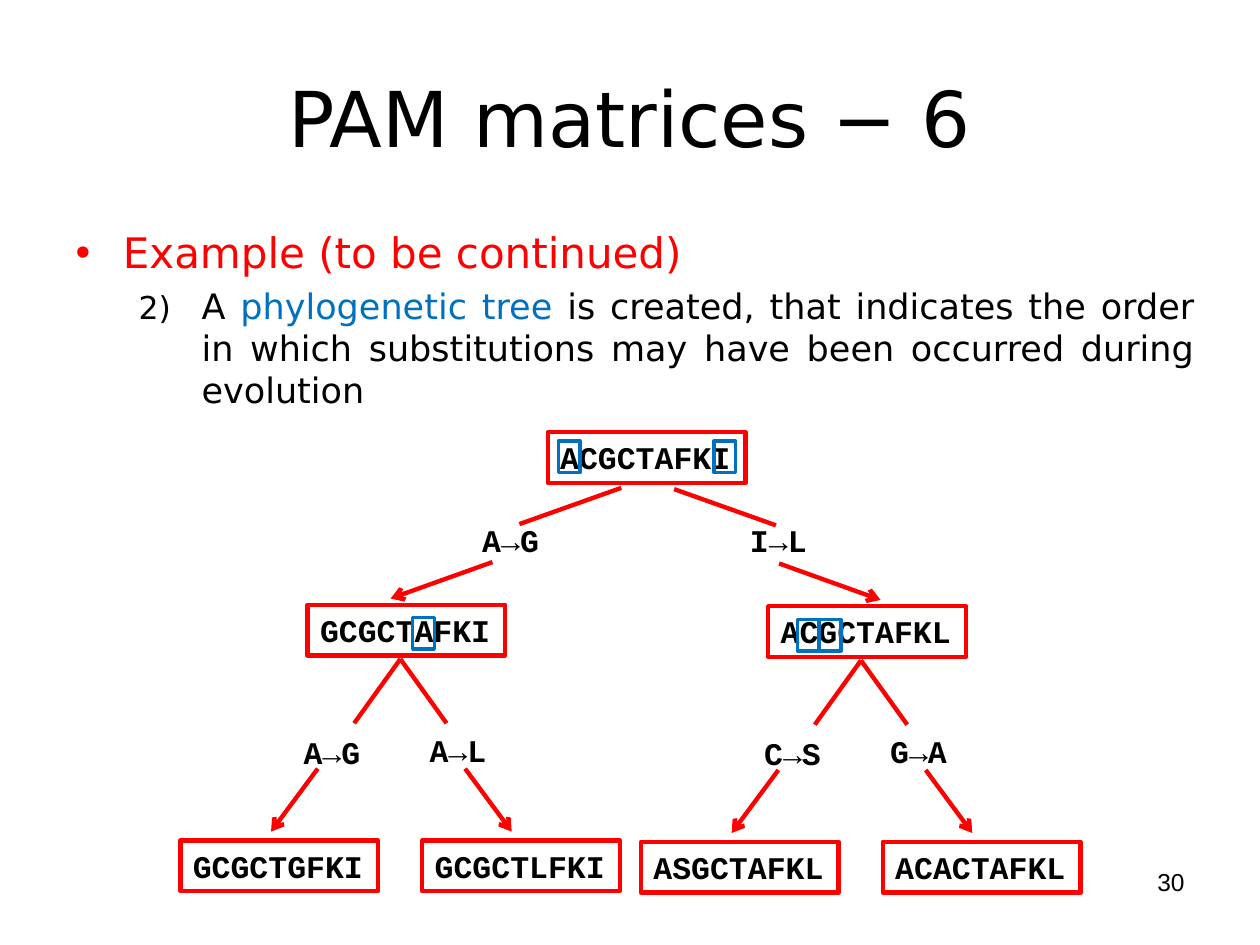
import dataclasses

import pptx
import pptx.dml.color
import pptx.enum.shapes
import pptx.enum.text
import pptx.oxml
import pptx.oxml.ns
import pptx.util
from pptx.util import Pt


@dataclasses.dataclass(frozen=True)
class Theme:
    black: str = "000000"
    red: str = "FF0000"
    blue: str = "0070C0"
    sans: str = "DejaVu Sans"
    mono: str = "Courier New"
    plain: str = "Arial"
    title: float = 44
    heading: float = 24
    item: float = 20
    sequence: float = 18
    number: float = 14
    line: float = 2.5
    mark: float = 2


THEME = Theme()
NODE_W, NODE_H = 113, 29
LABEL_W = 75
MARK_W, MARK_H = 12.4, 18

# Both subtrees share these offsets from the top left of their parent node:
# fork line, arrow, substitution label, leaf node
FORK = (53, 31)
BRANCHES = [
    ((26.6, 67.7), ((5.8, 93.6), (-20.9, 129.6)), (-9.4, 69.5), (-72.7, 134.6)),
    ((79.4, 67.7), ((90, 93.6), (116.6, 129.6)), (62.6, 68.4), (65.5, 134.6)),
]


def add_text(p, text, font=THEME.sans, size=THEME.item, color=THEME.black, bold=False):
    r = p.add_run()
    r.text = text
    r.font.name = font
    r.font.size = Pt(size)
    r.font.color.rgb = pptx.dml.color.RGBColor.from_string(color)
    r.font.bold = bold


def place(sp, x, y, w, h):
    sp.left, sp.top, sp.width, sp.height = Pt(x), Pt(y), Pt(w), Pt(h)


def set_line(sp, color, width):
    sp.line.color.rgb = pptx.dml.color.RGBColor.from_string(color)
    sp.line.width = Pt(width)


def add_xml(parent, tag, **attrs):
    el = pptx.oxml.parse_xml(f"<a:{tag} {pptx.oxml.ns.nsdecls('a')}/>")
    for name, value in attrs.items():
        el.set(name, str(value))
    parent.append(el)


def add_box(s, x, y, w, h, color, width):
    sp = s.shapes.add_shape(pptx.enum.shapes.MSO_SHAPE.RECTANGLE, Pt(x), Pt(y), Pt(w), Pt(h))
    sp.shadow.inherit = False
    sp.fill.background()
    set_line(sp, color, width)
    return sp


def add_node(s, x, y, sequence):
    tf = add_box(s, x, y, NODE_W, NODE_H, THEME.red, THEME.line).text_frame
    tf.word_wrap = False
    tf.vertical_anchor = pptx.enum.text.MSO_ANCHOR.TOP
    p = tf.paragraphs[0]
    p.alignment = pptx.enum.text.PP_ALIGN.LEFT
    add_text(p, sequence, font=THEME.mono, size=THEME.sequence, bold=True)


def add_label(s, x, y, w, h, text, align=pptx.enum.text.PP_ALIGN.LEFT, **fmt):
    tf = s.shapes.add_textbox(Pt(x), Pt(y), Pt(w), Pt(h)).text_frame
    tf.word_wrap = True
    p = tf.paragraphs[0]
    p.alignment = align
    add_text(p, text, **fmt)


def add_substitution(s, x, y, text):
    add_label(s, x, y, LABEL_W, NODE_H, text,
              font=THEME.mono, size=THEME.sequence, bold=True)


def add_line(s, start, end, arrow=False):
    cx = s.shapes.add_connector(pptx.enum.shapes.MSO_CONNECTOR.STRAIGHT,
                                *(Pt(v) for v in (*start, *end)))
    set_line(cx, THEME.red, THEME.line)
    if arrow:
        add_xml(cx.line._get_or_add_ln(), "tailEnd", type="arrow")
    add_xml(cx._element.spPr, "effectLst")


def add_subtree(s, x, y, parent, children):
    def at(offset):
        return x + offset[0], y + offset[1]

    add_node(s, x, y, parent)
    for (fork_end, arrow, label, leaf), (change, sequence) in zip(BRANCHES, children):
        add_line(s, at(FORK), at(fork_end))
        add_line(s, at(arrow[0]), at(arrow[1]), arrow=True)
        add_substitution(s, *at(label), change)
        add_node(s, *at(leaf), sequence)


def fill_body(body):
    place(body, 36, 126, 654, 378)
    tf = body.text_frame
    tf.auto_size = pptx.enum.text.MSO_AUTO_SIZE.NONE
    heading, item = tf.paragraphs[0], tf.add_paragraph()
    item.level = 1
    for p, margin, indent in ((heading, 27, -27), (item, 72, -36)):
        p.alignment = pptx.enum.text.PP_ALIGN.JUSTIFY
        pPr = p._p.get_or_add_pPr()
        pPr.set("marL", str(Pt(margin)))
        pPr.set("indent", str(Pt(indent)))
    add_text(heading, "Example (to be continued)", size=THEME.heading, color=THEME.red)
    add_text(item, "A ")
    add_text(item, "phylogenetic tree ", color=THEME.blue)
    add_text(item, "is created, that indicates the order in which substitutions "
                   "may have been occurred during evolution")
    pPr = item._p.get_or_add_pPr()
    add_xml(pPr, "buSzPct", val=90000)
    add_xml(pPr, "buFont", typeface=THEME.sans)
    add_xml(pPr, "buAutoNum", type="arabicParenR", startAt=2)


def main():
    prs = pptx.Presentation()
    prs.slide_width, prs.slide_height = Pt(720), Pt(540)
    s = prs.slides.add_slide(prs.slide_layouts[1])

    # Title, list and slide number
    title = s.shapes.title
    place(title, 36, 21.6, 648, 90)
    add_text(title.text_frame.paragraphs[0], "PAM matrices − 6", size=THEME.title)
    fill_body(s.placeholders[1])
    add_label(s, 516, 492, 168, 37.5, "30", align=pptx.enum.text.PP_ALIGN.RIGHT,
              font=THEME.plain, size=THEME.number)

    # Root of the tree and its two substitutions
    add_node(s, 313, 247, "ACGCTAFKI")
    add_line(s, (355, 278.8), (296.8, 299.5))
    add_line(s, (281.4, 321.2), (223.2, 342))
    add_substitution(s, 268.5, 294, "A→G")
    add_line(s, (385.2, 279.5), (443.4, 300.2))
    add_line(s, (445.2, 322), (503.2, 342.8), arrow=True)
    add_substitution(s, 421.5, 294, "I→L")
    add_xml(s.shapes[5].line._get_or_add_ln(), "tailEnd", type="arrow")

    # Left and right subtrees
    add_subtree(s, 175.8, 345.6, "GCGCTAFKI", [("A→G", "GCGCTGFKI"), ("A→L", "GCGCTLFKI")])
    add_subtree(s, 439, 346.4, "ACGCTAFKL", [("C→S", "ASGCTAFKL"), ("G→A", "ACACTAFKL")])

    # Marks around the residues that change
    for x, y in ((319, 252), (407.9, 252), (235.8, 352.8), (455.7, 354), (468.1, 354)):
        add_box(s, x, y, MARK_W, MARK_H, THEME.blue, THEME.mark)

    prs.save("out.pptx")


if __name__ == "__main__":
    main()
